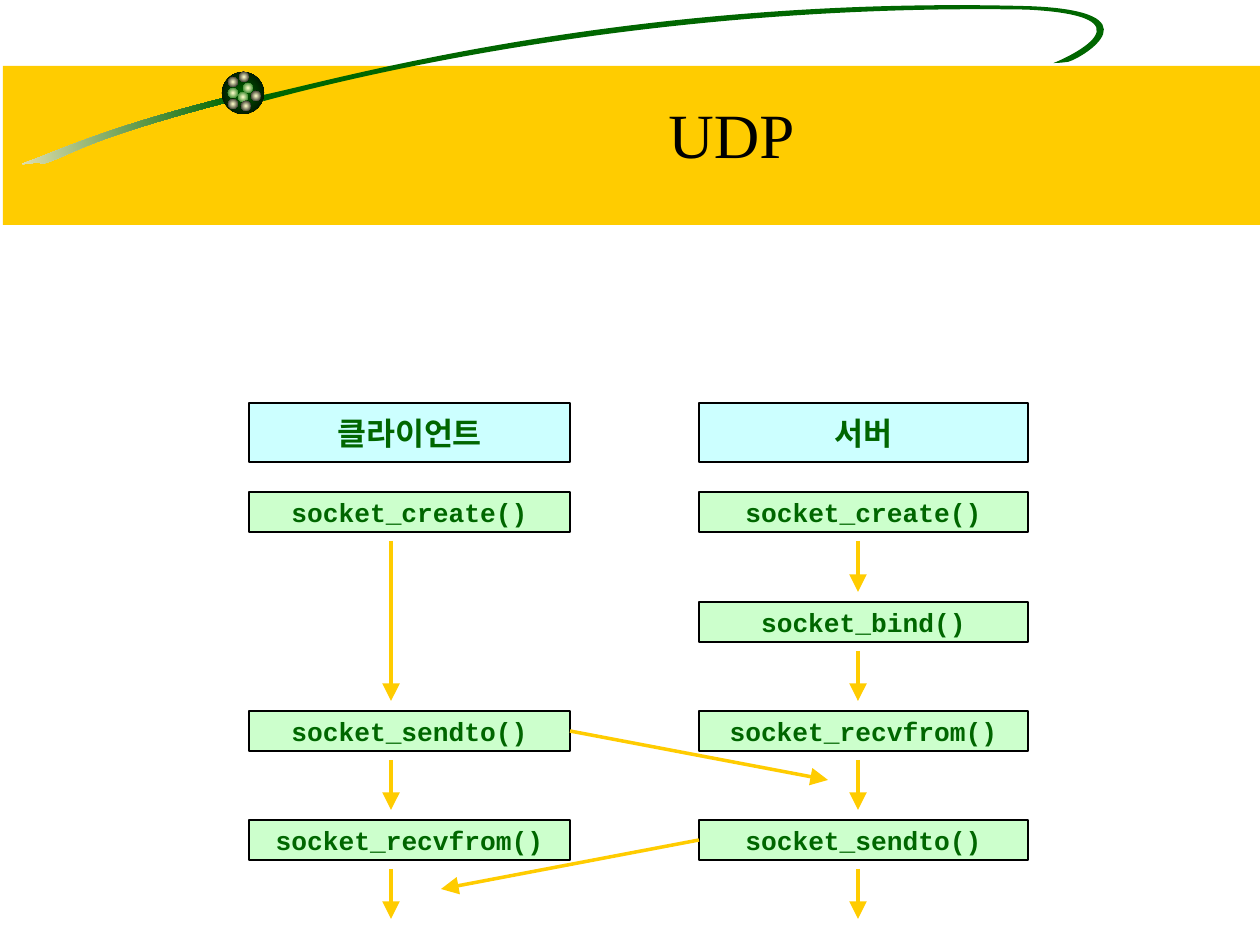
from lxml import etree
from pptx import Presentation
from pptx.dml.color import RGBColor
from pptx.enum.shapes import MSO_CONNECTOR, MSO_SHAPE
from pptx.enum.text import MSO_ANCHOR, PP_ALIGN
from pptx.oxml import parse_xml
from pptx.oxml.ns import nsdecls, qn
from pptx.util import Pt

RECT, OVAL = MSO_SHAPE.RECTANGLE, MSO_SHAPE.OVAL
STRAIGHT = MSO_CONNECTOR.STRAIGHT
CENTER, MIDDLE = PP_ALIGN.CENTER, MSO_ANCHOR.MIDDLE

GOLD = RGBColor(0xFF, 0xCC, 0x00)
GREEN = RGBColor(0x00, 0x66, 0x00)
BLACK = RGBColor(0x00, 0x00, 0x00)
WHITE = RGBColor(0xFF, 0xFF, 0xFF)
CREAM = RGBColor(0xFF, 0xFF, 0xCC)
SAND = RGBColor(0xF5, 0xEB, 0xC1)
PALE_BLUE = RGBColor(0xCC, 0xFF, 0xFF)
PALE_GREEN = RGBColor(0xCC, 0xFF, 0xCC)

PX = 914400 / 126
LEFT_SIDE, RIGHT_SIDE = 1, 3


def emu(*lengths):
    """Turn px lengths into EMU."""
    return [round(length * PX) for length in lengths]


def add_arrow(start, end):
    arrow = slide.shapes.add_connector(STRAIGHT, *emu(*start, *end))
    arrow.line.color.rgb = GOLD
    arrow.line.width = Pt(2)
    etree.SubElement(arrow.line._get_or_add_ln(), qn("a:tailEnd"),
                     type="triangle", w="lg", len="lg")
    etree.SubElement(arrow._element.spPr, qn("a:effectLst"))
    return arrow


prs = Presentation()
prs.slide_width, prs.slide_height = emu(1260, 945)
slide = prs.slides.add_slide(prs.slide_layouts[5])

# Header band
band = slide.shapes.add_shape(RECT, *emu(3, 66, 1260, 159))
band.shadow.inherit = False
band.fill.solid()
band.fill.fore_color.rgb = GOLD
band.line.fill.background()

# Swoosh: left, top, start point and cubic curves, before the tilt
TAIL = 0, 115, (231, 0), [
    ((118, 10), (65, 24), (32, 31)),
    ((0, 37), (34, 32), (39, 37)),
    ((71, 33), (75, 21), (232, 5)),
    ((232, 5), (231, 0), (231, 0)),
]
SWEEP = 257, -19, (0, 44), [
    ((56, 43), (369, 0), (775, 76)),
    ((902, 101), (821, 135), (805, 137)),
    ((805, 137), (797, 137), (790, 136)),
    ((804, 133), (901, 106), (772, 79)),
    ((443, 21), (152, 34), (4, 50)),
    ((4, 50), (0, 44), (0, 44)),
]
for left, top, start, curves in (TAIL, SWEEP):
    outline = slide.shapes.build_freeform(*start, scale=PX)
    outline.add_line_segments([point for curve in curves for point in curve], close=True)
    swoosh = outline.convert_to_shape(*emu(left, top))
    swoosh.rotation = 351
    swoosh.shadow.inherit = False
    swoosh.line.fill.background()
    swoosh.fill.solid()
    swoosh.fill.fore_color.rgb = GREEN
    if curves is TAIL[-1]:
        swoosh.fill.gradient()
        swoosh.fill.gradient_angle = 0
        for stop, color in zip(swoosh.fill.gradient_stops, (SAND, GREEN)):
            stop.color.rgb = color
    # Every three line segments become one cubic curve
    segments = list(swoosh._element.iter(qn("a:lnTo")))
    for first in range(0, len(segments), 3):
        cubic = etree.Element(qn("a:cubicBezTo"))
        segments[first].addprevious(cubic)
        for segment in segments[first:first + 3]:
            cubic.append(segment[0])
            segment.getparent().remove(segment)

# Ball with its beads: left, top, size, centre colour, edge colour
BALLS = [(222, 72, 42, GREEN, BLACK)]
BALLS += [(x, y, 10, CREAM, GREEN) for x, y in ((243, 83), (228, 88), (238, 92))]
BALLS += [(x, y, 10, CREAM, BLACK)
          for x, y in ((228, 77), (251, 91), (241, 101), (228, 99), (239, 72))]
for left, top, size, center_color, edge_color in BALLS:
    ball = slide.shapes.add_shape(OVAL, *emu(left, top, size, size))
    ball.shadow.inherit = False
    ball.line.fill.background()
    ball.fill.gradient()
    for stop, color in zip(ball.fill.gradient_stops, (center_color, edge_color)):
        stop.color.rgb = color
    linear = ball._element.spPr.find(".//" + qn("a:lin"))
    linear.getparent().replace(linear, parse_xml(
        f'<a:path {nsdecls("a")} path="circle">'
        '<a:fillToRect l="50000" t="50000" r="50000" b="50000"/></a:path>'))

# Translucent side panel
panel = slide.shapes.add_shape(RECT, *emu(97, 260, 154, 685))
panel.shadow.inherit = False
panel.fill.solid()
panel.fill.fore_color.rgb = WHITE
panel.line.fill.background()
panel_color = panel._element.spPr.find(".//" + qn("a:srgbClr"))
etree.SubElement(panel_color, qn("a:alpha"), val="50000")

# Title, brought in front of the band
title = slide.shapes.title
band._element.getparent().append(title._element)
title.left, title.top, title.width, title.height = emu(203, 75, 1057, 116)
title.text_frame.text = "UDP"
title.text_frame.vertical_anchor = MIDDLE
title_line = title.text_frame.paragraphs[0]
title_line.alignment = CENTER
title_line.font.size = Pt(36)
title_line.font.name = "Times New Roman"
title_line.font.color.rgb = BLACK

# Call sequences: heading, left, width, arrow x, calls by row
SEQUENCES = [
    ("클라이언트", 249, 321, 391,
     {0: "socket_create()", 2: "socket_sendto()", 3: "socket_recvfrom()"}),
    ("서버", 699, 329, 858,
     {0: "socket_create()", 1: "socket_bind()",
      2: "socket_recvfrom()", 3: "socket_sendto()"}),
]
ROW_TOPS = (492, 602, 711, 820, 929)
LAST_ROW = len(ROW_TOPS) - 1
senders = []
for heading, left, width, arrow_x, calls in SEQUENCES:
    boxes = [(heading, 403, 59, PALE_BLUE, "Times New Roman", 18)]
    boxes += [(call, ROW_TOPS[row], 40, PALE_GREEN, "Courier New", 15)
              for row, call in calls.items()]
    for label, top, height, fill_color, font_name, font_size in boxes:
        box = slide.shapes.add_shape(RECT, *emu(left, top, width, height))
        box.shadow.inherit = False
        box.fill.solid()
        box.fill.fore_color.rgb = fill_color
        box.line.color.rgb = BLACK
        box.line.width = Pt(1)
        box.text_frame.text = label
        box.text_frame.vertical_anchor = MIDDLE
        caption = box.text_frame.paragraphs[0]
        caption.alignment = CENTER
        caption.font.name = font_name
        caption.font.size = Pt(font_size)
        caption.font.bold = True
        caption.font.color.rgb = GREEN
        if label == "socket_sendto()":
            senders.append(box)

    rows = [*calls, LAST_ROW]
    for row, next_row in zip(rows, rows[1:]):
        add_arrow((arrow_x, ROW_TOPS[row] + 49), (arrow_x, ROW_TOPS[next_row] - 10))

# Datagrams sent across to the other side
client_send, server_send = senders
request = add_arrow((570, 731), (828, 780))
request.begin_connect(client_send, RIGHT_SIDE)
reply = add_arrow((699, 840), (441, 889))
reply.begin_connect(server_send, LEFT_SIDE)

prs.save("out.pptx")
